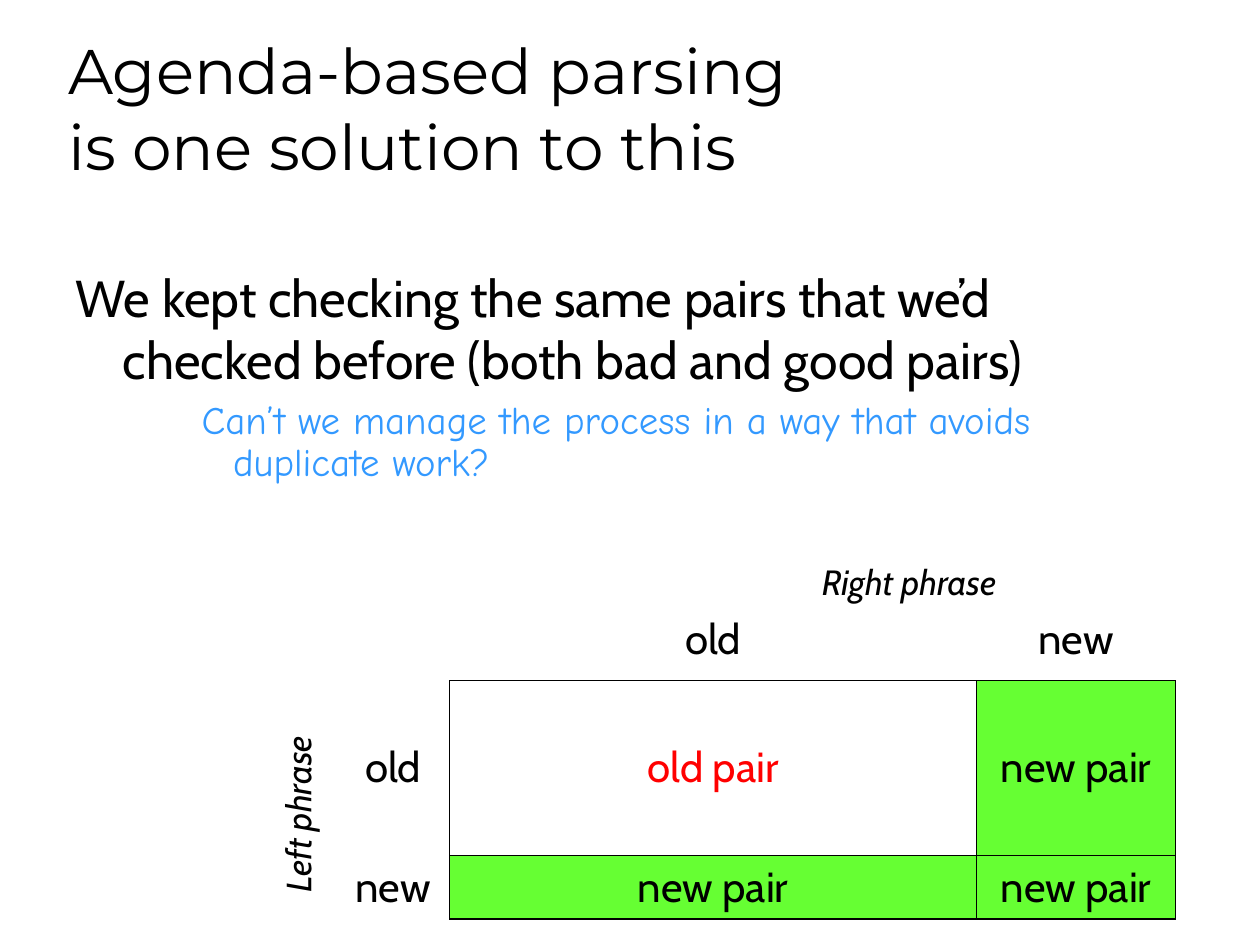
from dataclasses import dataclass

from lxml import etree
from pptx import Presentation
from pptx.dml.color import RGBColor
from pptx.enum import text as tx
from pptx.oxml import ns
from pptx.util import Pt

TITLE = ["Agenda-based parsing", "is one solution to this"]
CLAIM = "We kept checking the same pairs that we’d checked before (both bad and good pairs)"
ASK = "Can’t we manage the process in a way that avoids duplicate work?"
GRID = [
    ["", "old", "new"],
    ["old", "old pair", "new pair"],
    ["new", "new pair", "new pair"],
]
COLS = [64.8, 301, 113.8]
ROWS = [46.8, 100, 36]
# text, left, top, width, height, rotation
AXES = [
    ("Left phrase", 113.8, 449.3, 113, 31.7, 270),
    ("Right phrase", 455.8, 316.8, 127.4, 31.7, 0),
]


@dataclass
class Theme:
    head: str = "Montserrat"
    body: str = "Cabin"
    hand: str = "Comic Neue"
    ink: str = "000000"
    blue: str = "3399FF"
    red: str = "FF0000"
    green: str = "66FF33"
    title: float = 36
    claim: float = 29.6
    ask: float = 22.2
    cell: float = 24
    axis: float = 20
    thin: float = 0.45
    thick: float = 1.08


T = Theme()
Align = tx.PP_ALIGN


def write(para, words, face, size, color=T.ink, slant=False):
    run = para.add_run()
    run.text = words
    font = run.font
    font.name, font.size, font.italic = face, Pt(size), slant
    font.color.rgb = RGBColor.from_string(color)


def place(shape, left, top, width, height):
    shape.left, shape.top = Pt(left), Pt(top)
    shape.width, shape.height = Pt(width), Pt(height)


def indent(para, left, first):
    """Hang the paragraph without a bullet."""
    props = para._p.get_or_add_pPr()
    props.set("marL", str(Pt(left)))
    props.set("indent", str(Pt(first)))
    etree.SubElement(props, ns.qn("a:buNone"))


def rule(cell, sides):
    """Draw cell borders; sides maps L, R, T, B to a width."""
    props = cell._tc.get_or_add_tcPr()
    for spot, (side, width) in enumerate(sides.items()):
        line = etree.Element(ns.qn("a:ln" + side), w=str(Pt(width)))
        fill = etree.SubElement(line, ns.qn("a:solidFill"))
        etree.SubElement(fill, ns.qn("a:srgbClr"), val=T.ink)
        props.insert(spot, line)


def add_title(slide):
    box = slide.shapes.title
    place(box, 31.7, 18, 673.2, 90)
    frame = box.text_frame
    frame.auto_size = tx.MSO_AUTO_SIZE.NONE
    frame.vertical_anchor = tx.MSO_ANCHOR.BOTTOM
    para = frame.paragraphs[0]
    para.alignment = Align.LEFT
    for i, line in enumerate(TITLE):
        if i:
            para.add_line_break()
        write(para, line, T.head, T.title)


def add_body(slide):
    box = slide.placeholders[1]
    place(box, 36, 148.3, 643.7, 163.4)
    frame = box.text_frame
    frame.auto_size = tx.MSO_AUTO_SIZE.NONE
    claim = frame.paragraphs[0]
    claim.space_before = Pt(0)
    indent(claim, 27, -27)
    write(claim, CLAIM, T.body, T.claim)
    ask = frame.add_paragraph()
    ask.level = 2
    ask.line_spacing = 0.9
    ask.space_before = Pt(6)
    indent(ask, 90, -18)
    write(ask, ASK, T.hand, T.ask, T.blue)


def add_grid(slide):
    table = slide.shapes.add_table(
        len(ROWS), len(COLS), Pt(192.2), Pt(342), Pt(sum(COLS)), Pt(sum(ROWS))
    ).table
    table.first_row = table.horz_banding = False
    for col, width in zip(table.columns, COLS):
        col.width = Pt(width)
    for row, height in zip(table.rows, ROWS):
        row.height = Pt(height)
    for r, row in enumerate(GRID):
        for c, words in enumerate(row):
            cell = table.cell(r, c)
            cell.vertical_anchor = tx.MSO_ANCHOR.MIDDLE
            if words == "new pair":
                cell.fill.solid()
                cell.fill.fore_color.rgb = RGBColor.from_string(T.green)
            else:
                cell.fill.background()
            sides = {}
            if r and c:
                sides["L"] = T.thin
            if r:
                sides["R"] = T.thick if c == len(COLS) - 1 else T.thin
            if r and c:
                sides["T"] = T.thin
            if c:
                sides["B"] = T.thick if r == len(ROWS) - 1 else T.thin
            rule(cell, sides)
            if words:
                para = cell.text_frame.paragraphs[0]
                para.alignment = Align.CENTER
                color = T.red if words == "old pair" else T.ink
                write(para, words, T.body, T.cell, color)


def add_axes(slide):
    for words, left, top, width, height, turn in AXES:
        box = slide.shapes.add_textbox(Pt(left), Pt(top), Pt(width), Pt(height))
        box.rotation = turn
        frame = box.text_frame
        frame.word_wrap = False
        frame.auto_size = tx.MSO_AUTO_SIZE.SHAPE_TO_FIT_TEXT
        para = frame.paragraphs[0]
        para.alignment = Align.CENTER
        write(para, words, T.body, T.axis, slant=True)


def main():
    deck = Presentation()
    deck.slide_width, deck.slide_height = Pt(720), Pt(540)
    slide = deck.slides.add_slide(deck.slide_layouts[1])
    add_title(slide)
    add_body(slide)
    add_grid(slide)
    add_axes(slide)
    deck.save("out.pptx")


if __name__ == "__main__":
    main()
